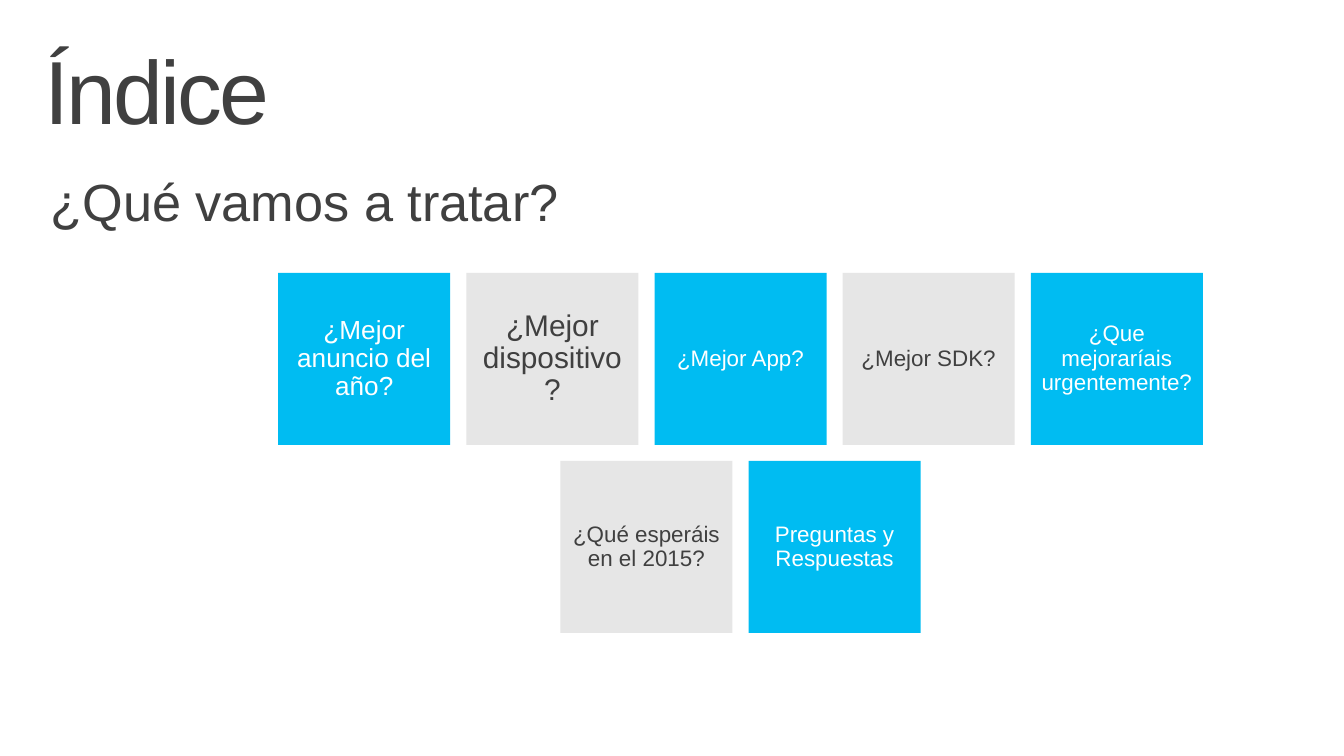
from dataclasses import dataclass

import pptx
import pptx.dml.color
import pptx.enum.shapes
import pptx.enum.text
import pptx.shapes.shapetree
import pptx.text.text
import pptx.util
from pptx.util import Inches

BLUE = pptx.dml.color.RGBColor(0x00, 0xBC, 0xF2)
LIGHT_GRAY = pptx.dml.color.RGBColor(0xE6, 0xE6, 0xE6)
DARK_GRAY = pptx.dml.color.RGBColor(0x40, 0x40, 0x40)
WHITE = pptx.dml.color.RGBColor(0xFF, 0xFF, 0xFF)

SLIDE_WIDTH = 10
TILE_SIZE = 1.28
TILE_STEP = 1.4
TILES_PER_ROW = 5
GRID_CENTER = 5.51
GRID_TOP = 2.03


@dataclass(frozen=True)
class Topic:
    question: str
    size: int = 12
    inset: float = 0.05


TOPICS = [
    Topic("¿Mejor anuncio del año?", 14, 0.06),
    Topic("¿Mejor dispositivo?", 16, 0.07),
    Topic("¿Mejor App?"),
    Topic("¿Mejor SDK?"),
    Topic("¿Que mejoraríais urgentemente?"),
    Topic("¿Qué esperáis en el 2015?"),
    Topic("Preguntas y Respuestas"),
]


def write(
    frame: pptx.text.text.TextFrame,
    text: str,
    size: int,
    color: pptx.dml.color.RGBColor,
    align: pptx.enum.text.PP_ALIGN,
    anchor: pptx.enum.text.MSO_ANCHOR,
    line_spacing: float = 1.0,
) -> pptx.text.text._Run:
    frame.text = text
    frame.word_wrap = True
    frame.auto_size = pptx.enum.text.MSO_AUTO_SIZE.NONE
    frame.vertical_anchor = anchor
    paragraph = frame.paragraphs[0]
    paragraph.alignment = align
    paragraph.line_spacing = line_spacing
    run = paragraph.runs[0]
    run.font.name = "Arial"
    run.font.size = pptx.util.Pt(size)
    run.font.color.rgb = color
    return run


def set_insets(
    frame: pptx.text.text.TextFrame, left: float, top: float, right: float, bottom: float
) -> None:
    frame.margin_left = Inches(left)
    frame.margin_top = Inches(top)
    frame.margin_right = Inches(right)
    frame.margin_bottom = Inches(bottom)


def draw_topic(
    shapes: pptx.shapes.shapetree.SlideShapes, topic: Topic, index: int
) -> None:
    row, column = divmod(index, TILES_PER_ROW)
    row_count = min(TILES_PER_ROW, len(TOPICS) - row * TILES_PER_ROW)
    row_width = (row_count - 1) * TILE_STEP + TILE_SIZE
    tile = shapes.add_shape(
        pptx.enum.shapes.MSO_SHAPE.RECTANGLE,
        Inches(GRID_CENTER - row_width / 2 + column * TILE_STEP),
        Inches(GRID_TOP + row * TILE_STEP),
        Inches(TILE_SIZE),
        Inches(TILE_SIZE),
    )
    fill, color = (LIGHT_GRAY, DARK_GRAY) if index % 2 else (BLUE, WHITE)
    tile.shadow.inherit = False
    tile.fill.solid()
    tile.fill.fore_color.rgb = fill
    tile.line.fill.background()
    set_insets(tile.text_frame, *[topic.inset] * 4)
    write(
        tile.text_frame, topic.question, topic.size, color,
        pptx.enum.text.PP_ALIGN.CENTER, pptx.enum.text.MSO_ANCHOR.MIDDLE, 0.9,
    )


def main() -> None:
    presentation = pptx.Presentation()
    presentation.slide_width = Inches(SLIDE_WIDTH)
    presentation.slide_height = Inches(SLIDE_WIDTH * 9 / 16)
    slide = presentation.slides.add_slide(presentation.slide_layouts[5])

    title = slide.shapes.title
    title.left, title.top = Inches(0.23), Inches(0.33)
    title.width, title.height = Inches(9.46), Inches(0.84)
    heading = write(
        title.text_frame, "Índice", 48, DARK_GRAY,
        pptx.enum.text.PP_ALIGN.LEFT, pptx.enum.text.MSO_ANCHOR.MIDDLE, 0.75,
    )
    heading.font._element.set("spc", "-150")

    subtitle = slide.shapes.add_textbox(
        Inches(0.28), Inches(1.26), Inches(4.02), Inches(0.61)
    )
    set_insets(subtitle.text_frame, 0.1, 0, 0.1, 0.05)
    write(
        subtitle.text_frame, "¿Qué vamos a tratar?", 28, DARK_GRAY,
        pptx.enum.text.PP_ALIGN.LEFT, pptx.enum.text.MSO_ANCHOR.TOP,
    )

    for index, topic in enumerate(TOPICS):
        draw_topic(slide.shapes, topic, index)

    presentation.save("out.pptx")


if __name__ == "__main__":
    main()
